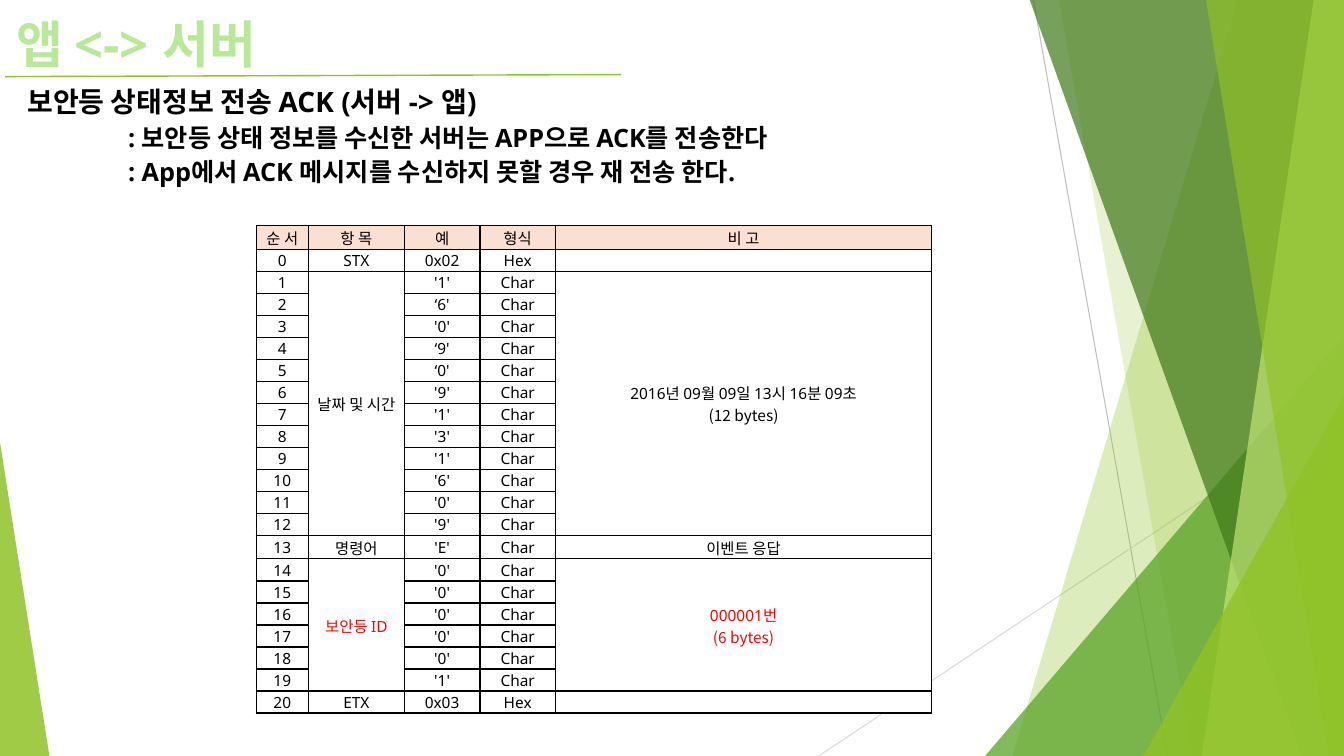
"""Build the slide describing the server-to-app ACK message layout."""
import pptx
import pptx.dml.color
import pptx.enum.shapes
import pptx.enum.text
import pptx.oxml
import pptx.oxml.ns
import pptx.util
from lxml import etree

Inches = pptx.util.Inches
Pt = pptx.util.Pt
qn = pptx.oxml.ns.qn
MIDDLE = pptx.enum.text.MSO_ANCHOR.MIDDLE

W, H = 13.33, 7.5
LATIN, HANGUL = "Noto Sans", "Noto Sans CJK KR"
BLACK, RED, WHITE, GREEN = "000000", "FF0000", "FFFFFF", "90C226"

TITLE = "앱 <-> 서버"
BODY = [
    (2, 1, 20, "보안등 상태정보 전송 ACK (서버 -> 앱)"),
    (4, 2, 18, ": 보안등 상태 정보를 수신한 서버는 APP으로 ACK를 전송한다"),
    (4, 2, 18, ": App에서 ACK 메시지를 수신하지 못할 경우 재 전송 한다."),
]

HEADER = ["순 서", "항 목", "예", "형식", "비 고"]
FIELDS = [
    ("STX", ["0x02"], "Hex", [], BLACK),
    ("날짜 및 시간",
     ["'1'", "‘6'", "'0'", "‘9'", "‘0'", "'9'", "'1'", "'3'", "'1'", "'6'", "'0'", "'9'"],
     "Char", ["2016년 09월 09일 13시 16분 09초", "(12 bytes)"], BLACK),
    ("명령어", ["'E'"], "Char", ["이벤트 응답"], BLACK),
    ("보안등 ID", ["'0'", "'0'", "'0'", "'0'", "'0'", "'1'"],
     "Char", ["000001번", "(6 bytes)"], RED),
    ("ETX", ["0x03"], "Hex", [], BLACK),
]
COLS = [0.52, 0.95, 0.75, 0.75, 3.73]
ROW_H = 0.2

LINES = [
    (10.25, 0, 11.58, H, "BFBFBF", 0.75),
    (W, 4.03, 8.12, H, "D9D9D9", 0.75),
    (0.05, 0.76, 6.16, 0.74, GREEN, 1),
]
FACETS = [
    ("band", 12.28, 10.04, GREEN, 30),
    ("band", 10.5, 11.83, GREEN, 20),
    ("triangle", (9.77, 3.33, 3.56, 4.17), 1, "54A021", 72),
    ("band", 10.21, 12.91, "3F7819", 70),
    ("band", 13.03, 11.92, "C0E474", 70),
    ("band", 11.96, 13.18, GREEN, 65),
    ("triangle", (11.34, 3.93, 1.99, 3.57), 1, GREEN, 80),
    ("triangle", (0, 4.39, 0.49, 3.11), 0, GREEN, 85),
]


def rgb(color):
    return pptx.dml.color.RGBColor.from_string(color)


def add_run(p, text, size, color, bold=False, latin=LATIN):
    r = p.add_run()
    r.text = text
    r.font.size, r.font.bold, r.font.name = Pt(size), bold, latin
    r.font.color.rgb = rgb(color)
    latin_el = r.font._element.find(qn("a:latin"))
    ea = etree.Element(qn("a:ea"), typeface=HANGUL)
    latin_el.addnext(ea)
    return r


def outline(parent, tag, color, width):
    ln = etree.Element(qn(tag), w=str(int(Pt(width))))
    fill = etree.SubElement(ln, qn("a:solidFill"))
    etree.SubElement(fill, qn("a:srgbClr"), val=color)
    return ln


def add_line(s, x1, y1, x2, y2, color, width):
    c = s.shapes.add_connector(pptx.enum.shapes.MSO_CONNECTOR.STRAIGHT,
                               Inches(x1), Inches(y1), Inches(x2), Inches(y2))
    c.line.color.rgb = rgb(color)
    c.line.width = Pt(width)
    etree.SubElement(c._element.spPr, qn("a:effectLst"))


def add_facet(s, kind, place, foot, color, alpha):
    if kind == "band":
        corners = [(place, -0.01), (W, -0.01), (W, H), (foot, H)]
        points = [(Inches(x), Inches(y)) for x, y in corners]
        builder = s.shapes.build_freeform(*points[0])
        builder.add_line_segments(points[1:], close=True)
        sp = builder.convert_to_shape()
    else:
        sp = s.shapes.add_shape(pptx.enum.shapes.MSO_SHAPE.ISOSCELES_TRIANGLE,
                                *map(Inches, place))
        sp.adjustments[0] = foot
    sp.shadow.inherit = False
    sp.line.fill.background()
    sp.fill.solid()
    sp.fill.fore_color.rgb = rgb(color)
    clr = sp._element.spPr.find(qn("a:solidFill"))[0]
    etree.SubElement(clr, qn("a:alpha"), val=str(alpha * 1000))


def place(sp, left, top, width, height):
    sp.left, sp.top, sp.width, sp.height = map(Inches, (left, top, width, height))
    sp.text_frame.word_wrap = True
    return sp.text_frame


def fill_title(sp):
    tf = place(sp, 0.06, 0.21, 7.66, 0.58)
    tf.vertical_anchor = MIDDLE
    p = tf.paragraphs[0]
    p.alignment = pptx.enum.text.PP_ALIGN.LEFT
    p.line_spacing = 0.7
    r = add_run(p, TITLE, 36.3, "B7E996", True)
    r.font._element.insert(0, outline(r, "a:ln", "54A021", 1.75))


def fill_body(sp):
    tf = place(sp, -0.83, 0.83, 9.66, 1.18)
    tf.vertical_anchor = pptx.enum.text.MSO_ANCHOR.TOP
    tf.auto_size = pptx.enum.text.MSO_AUTO_SIZE.TEXT_TO_FIT_SHAPE
    for i, (level, indent, size, text) in enumerate(BODY):
        p = tf.add_paragraph() if i else tf.paragraphs[0]
        p.level, p.line_spacing, p.space_before = level, 0.9, Pt(5)
        pPr = p._p.get_or_add_pPr()
        pPr.set("marL", str(int(Inches(indent))))
        pPr.set("indent", "0")
        etree.SubElement(pPr, qn("a:buNone"))
        add_run(p, text, size, BLACK, True)


def fill_cell(cell, lines, color=BLACK, fill=WHITE):
    cell.vertical_anchor = MIDDLE
    cell.margin_left = cell.margin_right = cell.margin_top = Inches(0.01)
    cell.margin_bottom = 0
    tf = cell.text_frame
    for i, text in enumerate(lines):
        p = tf.add_paragraph() if i else tf.paragraphs[0]
        p.alignment = pptx.enum.text.PP_ALIGN.CENTER
        add_run(p, text, 11, color, latin=HANGUL if i else LATIN)
    if not lines:
        etree.SubElement(tf.paragraphs[0]._p, qn("a:endParaRPr"), sz="1100")
    tcPr = cell._tc.get_or_add_tcPr()
    for side in "LRTB":
        tcPr.append(outline(tcPr, "a:ln" + side, BLACK, 1))
    cell.fill.solid()
    cell.fill.fore_color.rgb = rgb(fill)


def add_message_table(s):
    count = 1 + sum(len(values) for _, values, *_ in FIELDS)
    table = s.shapes.add_table(count, len(COLS), Inches(2.54), Inches(2.24),
                               Inches(sum(COLS)), Inches(count * ROW_H)).table
    for col, width in zip(table.columns, COLS):
        col.width = Inches(width)
    for row in table.rows:
        row.height = Inches(ROW_H)
    for c, text in enumerate(HEADER):
        fill_cell(table.cell(0, c), [text], fill="FAE0D1")
    row = 1
    for name, values, kind, remark, color in FIELDS:
        for i, value in enumerate(values):
            fill_cell(table.cell(row + i, 0), [str(row + i - 1)])
            fill_cell(table.cell(row + i, 1), [] if i else [name], color)
            fill_cell(table.cell(row + i, 2), [value])
            fill_cell(table.cell(row + i, 3), [kind])
            fill_cell(table.cell(row + i, 4), [] if i else remark, color)
        last = row + len(values) - 1
        if last > row:
            for c in (1, 4):
                table.cell(row, c).merge(table.cell(last, c))
        row = last + 1


def main():
    prs = pptx.Presentation()
    prs.slide_width, prs.slide_height = Inches(W), Inches(H)
    s = prs.slides.add_slide(prs.slide_layouts[1])
    for line in LINES:
        add_line(s, *line)
    for facet in FACETS:
        add_facet(s, *facet)
    fill_title(s.shapes.title)
    fill_body(s.placeholders[1])
    add_message_table(s)
    prs.save("out.pptx")


if __name__ == "__main__":
    main()
